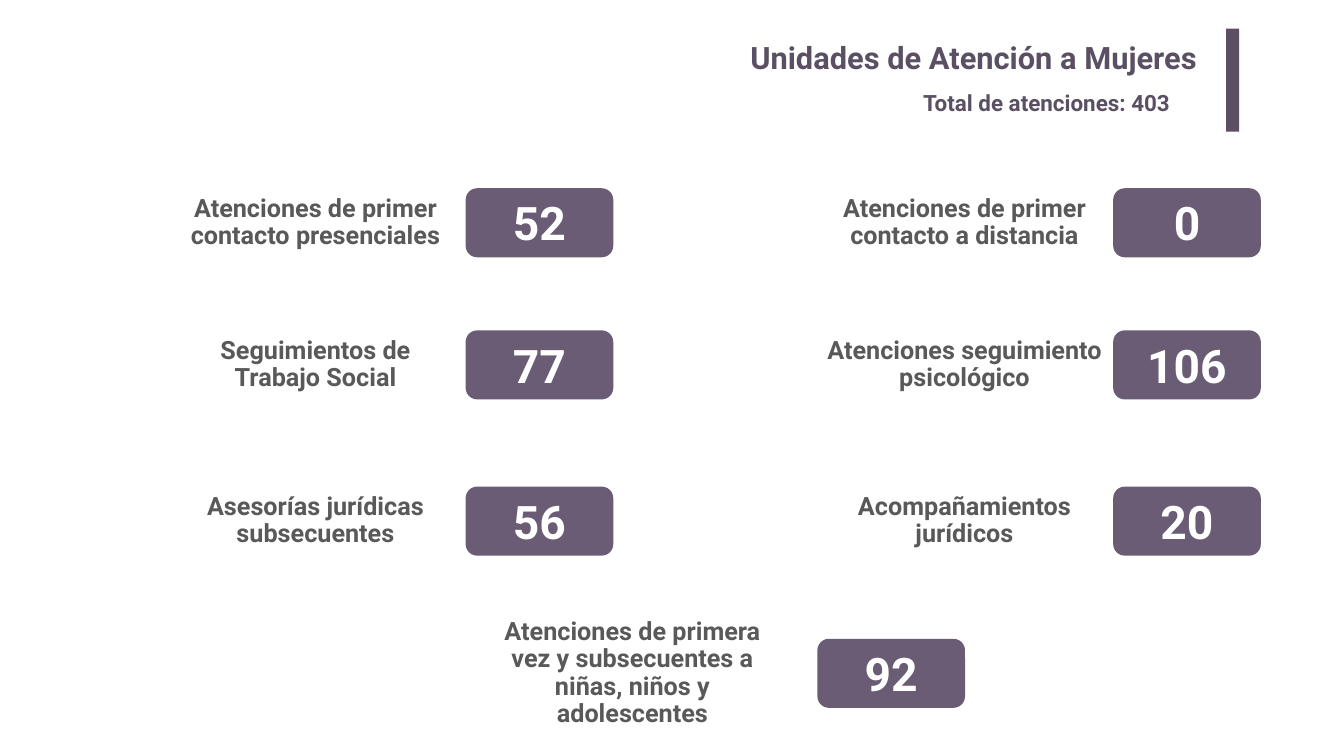
"""Build the slide on care figures of the women's units."""
from pptx import Presentation
from pptx.dml.color import RGBColor
from pptx.enum.shapes import MSO_SHAPE
from pptx.enum.text import MSO_ANCHOR, MSO_AUTO_SIZE, PP_ALIGN
from pptx.util import Inches, Pt

RECT, ROUND = MSO_SHAPE.RECTANGLE, MSO_SHAPE.ROUNDED_RECTANGLE
TOP, MID = MSO_ANCHOR.TOP, MSO_ANCHOR.MIDDLE
LEFT, MIDDLE, RIGHT = PP_ALIGN.LEFT, PP_ALIGN.CENTER, PP_ALIGN.RIGHT
NONE, GROW = MSO_AUTO_SIZE.NONE, MSO_AUTO_SIZE.SHAPE_TO_FIT_TEXT

FONT = "Roboto"
COLORS = {"head": "5B4F63", "card": "6A5C74", "label": "595959", "num": "FFFFFF"}
TITLE = "Unidades de Atención a Mujeres"
TOTAL = "Total de atenciones: 403"

# column: (label centre, card left); row: centre
COLS = {"left": (6.26, 9.24), "right": (19.14, 22.09), "mid": (12.55, 16.22)}
ROWS = [4.42, 7.24, 10.34, 13.36]
CARD = (2.93, 1.37)
NUM = (2.04, 1.21)

# label, value, column, row, label size
ITEMS = [
    ("Atenciones de primer contacto presenciales", "52", "left", 0, (5.48, 1.37)),
    ("Atenciones de primer contacto a distancia", "0", "right", 0, (5.16, 1.21)),
    ("Seguimientos de Trabajo Social", "77", "left", 1, (5.58, 1.41)),
    ("Atenciones seguimiento psicológico", "106", "right", 1, (7.81, 0.53)),
    ("Asesorías jurídicas subsecuentes", "56", "left", 2, (6.05, 0.8)),
    ("Acompañamientos jurídicos", "20", "right", 2, (6.46, 0.64)),
    ("Atenciones de primera vez y subsecuentes a niñas, niños y adolescentes",
     "92", "mid", 3, (6, 0.49)),
]


def center(x, y, size):
    """Return the frame of the given size centred on a point."""
    wide, high = size
    return x - wide / 2, y - high / 2, wide, high


def write(shape, text, size, color, align, anchor=TOP, fit=NONE, pad=0.1, line=None):
    """Fill a shape with one bold run of text."""
    frame = shape.text_frame
    frame.word_wrap = True
    frame.auto_size = fit
    frame.vertical_anchor = anchor
    frame.margin_left = frame.margin_right = Inches(pad)
    frame.margin_top = frame.margin_bottom = Inches(pad / 2)
    para = frame.paragraphs[0]
    para.alignment = align
    para.space_before = Pt(0)
    if line:
        para.line_spacing = line
    run = para.add_run()
    run.text = text
    font = run.font
    font.name, font.size, font.bold = FONT, Pt(size), True
    font.color.rgb = RGBColor.from_string(COLORS[color])


def add_box(slide, frame):
    """Add an empty text box."""
    return slide.shapes.add_textbox(*map(Inches, frame))


def add_block(slide, kind, frame, color):
    """Add a plain filled shape."""
    shape = slide.shapes.add_shape(kind, *map(Inches, frame))
    shape.shadow.inherit = False
    shape.fill.solid()
    shape.fill.fore_color.rgb = RGBColor.from_string(COLORS[color])
    shape.line.fill.background()
    return shape


def add_item(slide, label, value, col, row, size):
    """Add a label with its number card."""
    x, left = COLS[col]
    y = ROWS[row]
    mid = left + CARD[0] / 2
    write(add_box(slide, center(x, y, size)), label, 36, "label", MIDDLE, MID, line=0.9)
    add_block(slide, ROUND, center(mid, y, CARD), "card")
    write(add_box(slide, center(mid, y, NUM)), value, 66, "num", MIDDLE, fit=GROW)


def main():
    """Build and save the deck."""
    deck = Presentation()
    deck.slide_width, deck.slide_height = Inches(26.67), Inches(15)
    slide = deck.slides.add_slide(deck.slide_layouts[5])
    title = slide.shapes.title
    title.left, title.top, title.width, title.height = map(Inches, (3.66, 0.67, 20.3, 1.02))
    write(title, TITLE, 44, "head", RIGHT, pad=0.2)
    add_block(slide, RECT, (24.33, 0.57, 0.26, 2.04), "head")
    write(add_box(slide, (18.22, 1.71, 5.92, 0.64)), TOTAL, 32, "head", LEFT, fit=GROW)
    for item in ITEMS:
        add_item(slide, *item)
    deck.save("out.pptx")


if __name__ == "__main__":
    main()
